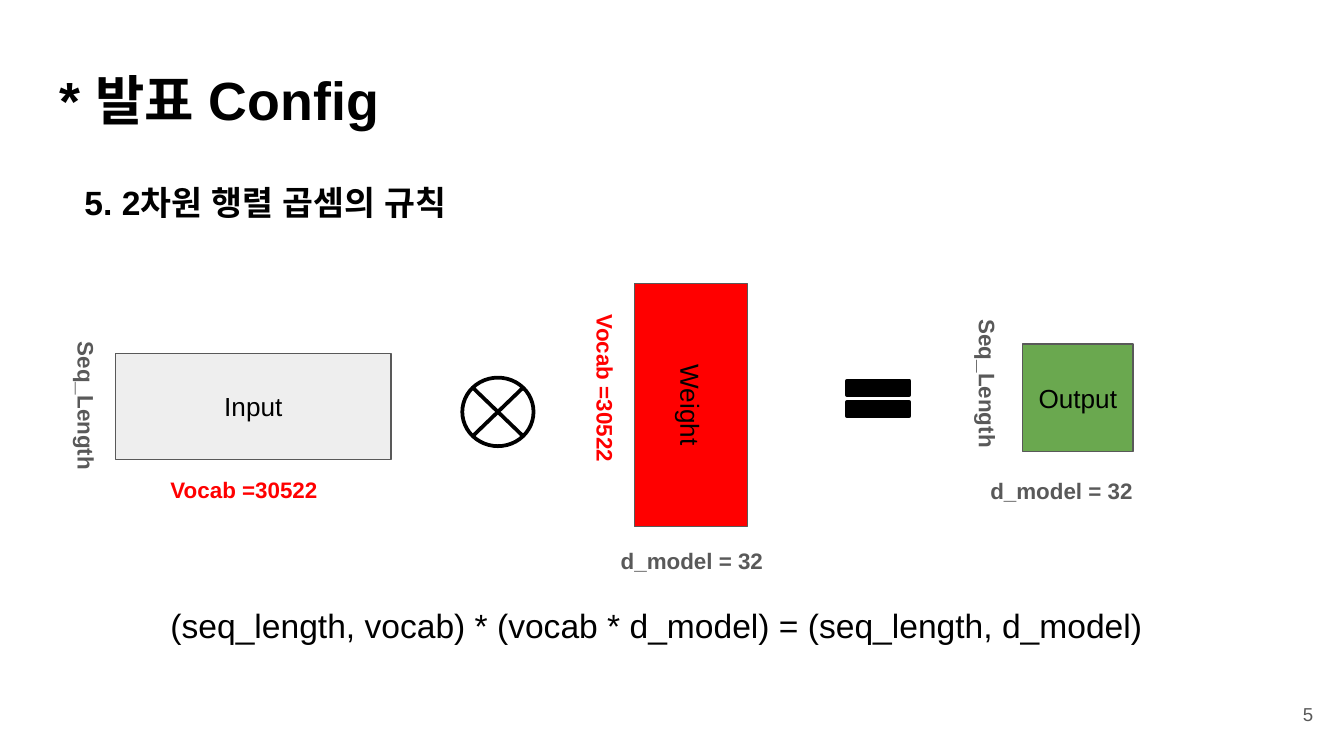
import lxml.etree
import pptx
import pptx.dml.color
import pptx.enum.shapes
import pptx.enum.text
import pptx.oxml.ns
import pptx.util

Inches = pptx.util.Inches
Shapes = pptx.enum.shapes.MSO_SHAPE
Align = pptx.enum.text.PP_ALIGN
Anchor = pptx.enum.text.MSO_ANCHOR
FONT = "Arial"
BLACK, WHITE, GREY, RED = "000000", "FFFFFF", "595959", "FF0000"
LABEL = {"size": pptx.util.Pt(12), "bold": True}


def color(value):
    """Turn a hex string into a colour."""
    return pptx.dml.color.RGBColor.from_string(value)


def write(shape, text, font, ink=BLACK, align=Align.LEFT, anchor=Anchor.TOP, inset=0.1, top=None):
    """Put one formatted line of text into a shape."""
    frame = shape.text_frame
    edge = Inches(inset)
    layout = {
        "word_wrap": True,
        "auto_size": pptx.enum.text.MSO_AUTO_SIZE.NONE,
        "vertical_anchor": anchor,
        "margin_left": Inches(0.1),
        "margin_right": Inches(0.1),
        "margin_top": edge if top is None else Inches(top),
        "margin_bottom": edge,
    }
    for name, value in layout.items():
        setattr(frame, name, value)
    para = frame.paragraphs[0]
    para.alignment = align
    span = para.add_run()
    span.text = text
    for name, value in {"name": FONT, **font}.items():
        setattr(span.font, name, value)
    span.font.color.rgb = color(ink)
    for script in ("a:ea", "a:cs"):
        tag = pptx.oxml.ns.qn(script)
        lxml.etree.SubElement(span.font._element, tag, typeface=FONT)
    return para


def add_text(page, box, text, font, rotation=0, **options):
    """Add a text box."""
    shape = page.shapes.add_textbox(*map(Inches, box))
    shape.rotation = rotation
    write(shape, text, font, **options)


def add_shape(page, kind, box, fill, line, width):
    """Add a flat filled and outlined shape."""
    shape = page.shapes.add_shape(kind, *map(Inches, box))
    shape.shadow.inherit = False
    shape.fill.solid()
    shape.fill.fore_color.rgb = color(fill)
    shape.line.color.rgb = color(line)
    shape.line.width = pptx.util.Pt(width)
    return shape


def add_matrix(page, box, name, fill, side, bottom, rotation=0):
    """Add a matrix with a turned label at its side and a label below."""
    left, top, width, height = box
    if rotation:
        left, top = left + (width - height) / 2, top + (height - width) / 2
        width, height = height, width
    block = add_shape(page, Shapes.RECTANGLE, (left, top, width, height), fill, GREY, 0.75)
    block.rotation = rotation
    write(block, name, {"size": pptx.util.Pt(14)}, align=Align.CENTER, anchor=Anchor.MIDDLE)
    for (text, ink, (x, y, *size)), turn in ((side, 90), (bottom, 0)):
        add_text(page, (box[0] + x, box[1] + y, *size), text, LABEL, turn, ink=ink)


def add_heading(page, box):
    """Place the title and the rule's subtitle below it."""
    left, top, width, height = box
    title = page.shapes.title
    place = {"left": left, "top": top, "width": width, "height": height}
    for name, value in place.items():
        setattr(title, name, Inches(value))
    para = write(title, "* 발표 Config", {"size": pptx.util.Pt(28.8), "bold": True})
    para.line_spacing = 0.8
    add_text(page, (left + 0.19, top + 0.5, 3.28, 1.88), "5. 2차원 행렬 곱셈의 규칙",
             {"size": pptx.util.Pt(18), "bold": True}, inset=0.05, top=0.36)


def add_product(page, box):
    """Draw input times weight equals output, with the formula below."""
    left, top = box[:2]
    sequence, vocab, model = "Seq_Length", "Vocab =30522", "d_model = 32"
    add_matrix(page, (left, top + 0.52, 2.05, 0.79), "Input", "EEEEEE",
               (sequence, GREY, (-0.96, 0.48, 1.61, 0.28)),
               (vocab, RED, (0.31, 0.81, 1.95, 0.27)))
    add_matrix(page, (left + 3.86, top, 0.84, 1.81), "Weight", RED,
               (vocab, RED, (-1.02, 0.86, 1.73, 0.28)),
               (model, GREY, (-0.2, 1.86, 1.84, 0.25)), rotation=90)
    add_matrix(page, (left + 6.75, top + 0.45, 0.82, 0.8), "Output", "6AA84F",
               (sequence, GREY, (-1.01, 0.41, 1.64, 0.26)),
               (model, GREY, (-0.34, 0.89, 1.7, 0.27)))
    add_shape(page, Shapes.MATH_EQUAL, (left + 5.36, top + 0.63, 0.63, 0.45), BLACK, BLACK, 2)
    add_shape(page, Shapes.FLOWCHART_SUMMING_JUNCTION,
              (left + 2.58, top + 0.7, 0.53, 0.51), WHITE, BLACK, 2)
    add_text(page, (left + 0.31, top + 2.34, 7.71, 0.4),
             "(seq_length, vocab) * (vocab * d_model) = (seq_length, d_model)",
             {"size": pptx.util.Pt(18)}, inset=0.05)


def main():
    """Build and save the deck."""
    deck = pptx.Presentation()
    deck.slide_width = Inches(10)
    deck.slide_height = deck.slide_width * 9 // 16
    page = deck.slides.add_slide(deck.slide_layouts.get_by_name("Title Only"))
    add_heading(page, (0.34, 0.49, 9.32, 0.63))
    add_product(page, (0.86, 2.11, 8.02, 2.74))
    add_text(page, (9.27, 5.1, 0.6, 0.43), "5", {"size": pptx.util.Pt(10)},
             ink=GREY, align=Align.RIGHT, anchor=Anchor.MIDDLE)
    deck.save("out.pptx")


if __name__ == "__main__":
    main()
